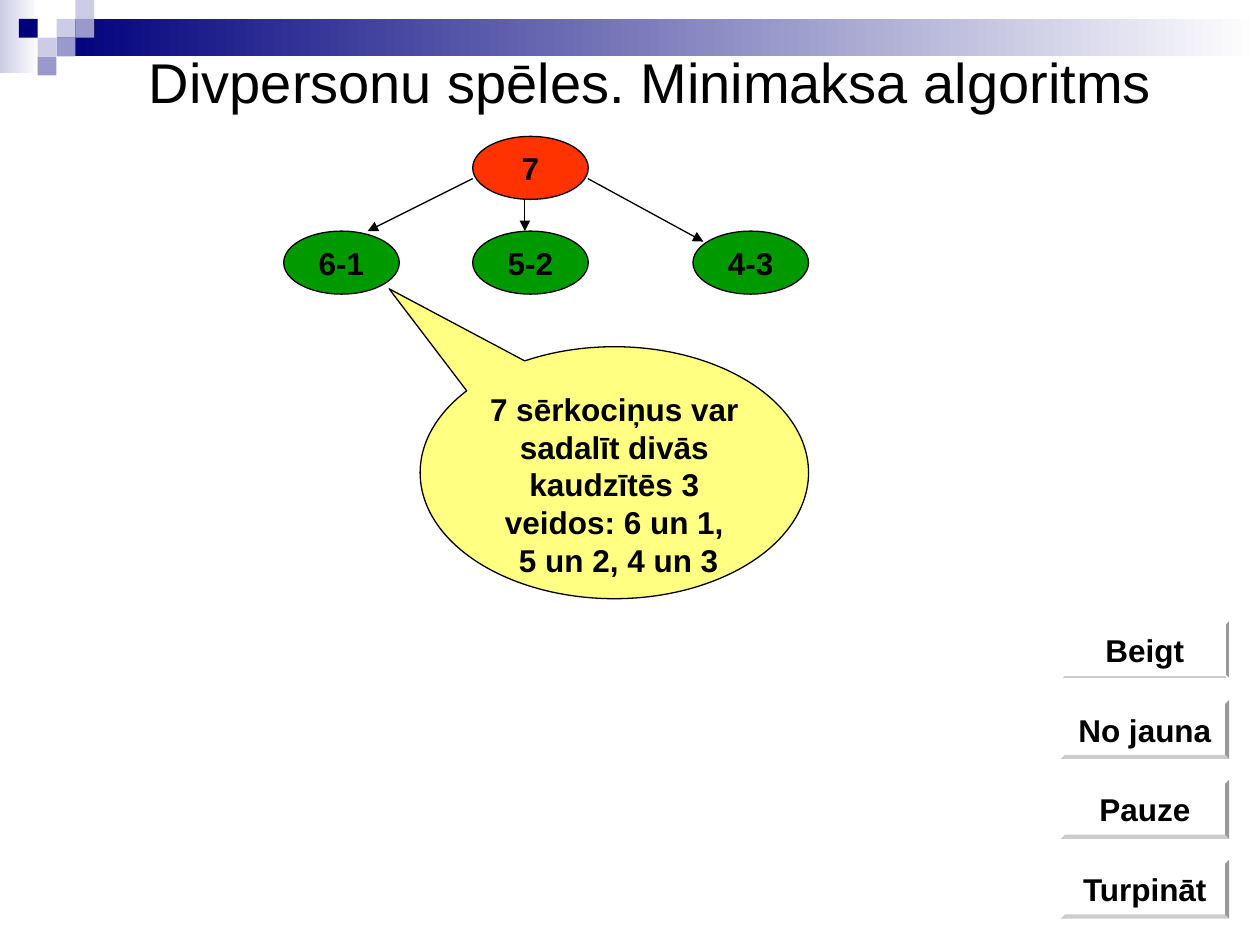
from lxml import etree
from pptx import Presentation
from pptx.dml.color import RGBColor
from pptx.enum.shapes import MSO_CONNECTOR, MSO_SHAPE
from pptx.enum.text import MSO_ANCHOR, PP_ALIGN
from pptx.oxml.ns import qn
from pptx.util import Cm, Pt

RECT, OVAL, BEVEL = MSO_SHAPE.RECTANGLE, MSO_SHAPE.OVAL, MSO_SHAPE.BEVEL
CALLOUT = MSO_SHAPE.OVAL_CALLOUT
STRAIGHT = MSO_CONNECTOR.STRAIGHT
TOP, MIDDLE = MSO_ANCHOR.TOP, MSO_ANCHOR.MIDDLE
CENTER = PP_ALIGN.CENTER

COLORS = {"black": "000000", "white": "FFFFFF", "navy": "00007D",
          "lilac": "9999CC", "pale": "CCCCE6", "red": "FF3300",
          "green": "009900", "yellow": "FFFF81"}

TITLE = "Divpersonu spēles. Minimaksa algoritms"
# Left, top, width, height in cm, and the colour that fades to white
BANDS = [(0, 0, 0.79, 1.47, "pale"), (1.14, 0.38, 24.26, 0.76, "navy")]
# Column, row, colour
SQUARE = 0.38
SQUARES = [(3, 1, "pale"), (4, 0, "pale"), (4, 1, "lilac"), (2, 2, "pale"),
           (1, 1, "navy"), (3, 2, "lilac"), (2, 3, "lilac")]

BUTTONS = ["Beigt", "No jauna", "Pauze", "Turpināt"]
BUTTON_LEFT, BUTTON_TOP, BUTTON_STEP = 21.38, 12.5, 1.61
BUTTON_W, BUTTON_H = 3.4, 1.19

# Text, left, top, colour
NODES = [("7", 9.53, 2.75, "red"), ("6-1", 5.72, 4.66, "green"),
         ("5-2", 9.53, 4.66, "green"), ("4-3", 13.97, 4.66, "green")]
NODE_W, NODE_H = 2.33, 1.27
ARROWS = [(9.53, 3.6, 7.41, 4.66), (10.58, 4.02, 10.58, 4.66),
          (11.85, 3.6, 14.18, 4.87)]
CALLOUT_TEXT = "7 sērkociņus var sadalīt divās kaudzītēs 3 veidos: 6 un 1,\n 5 un 2, 4 un 3"


def rgb(name):
    return RGBColor.from_string(COLORS[name])


def write(shape, text, size=18, bold=True, anchor=MIDDLE, wrap=False):
    tf = shape.text_frame
    tf.text = text
    tf.word_wrap = wrap
    tf.vertical_anchor = anchor
    for p in tf.paragraphs:
        p.alignment = CENTER
        p.space_before = Pt(0)
        for r in p.runs:
            r.font.name, r.font.size, r.font.bold = "Arial", Pt(size), bold
            r.font.color.rgb = rgb("black")


def add_shape(s, kind, left, top, width, height, color, line=None):
    sp = s.shapes.add_shape(kind, Cm(left), Cm(top), Cm(width), Cm(height))
    sp.shadow.inherit = False
    sp.fill.solid()
    sp.fill.fore_color.rgb = rgb(color)
    if line:
        sp.line.color.rgb = rgb(line)
        sp.line.width = Pt(0.75)
    else:
        sp.line.fill.background()
    return sp


def add_arrow(s, x1, y1, x2, y2):
    arrow = s.shapes.add_connector(STRAIGHT, Cm(x1), Cm(y1), Cm(x2), Cm(y2))
    arrow.line.color.rgb = rgb("black")
    arrow.line.width = Pt(0.75)
    sp_pr = arrow.element.spPr
    etree.SubElement(sp_pr.find(qn("a:ln")), qn("a:tailEnd"), type="triangle")
    etree.SubElement(sp_pr, qn("a:effectLst"))


def add_decoration(s):
    for *box, color in BANDS:
        fill = add_shape(s, RECT, *box, color).fill
        fill.gradient()
        fill.gradient_angle = 0
        for stop, name in zip(fill.gradient_stops, (color, "white")):
            stop.color.rgb = rgb(name)
    for col, row, color in SQUARES:
        add_shape(s, RECT, col * SQUARE, row * SQUARE, SQUARE, SQUARE, color)


def add_buttons(s):
    for i, label in enumerate(BUTTONS):
        sp = add_shape(s, BEVEL, BUTTON_LEFT, BUTTON_TOP + i * BUTTON_STEP,
                       BUTTON_W, BUTTON_H, "white", None if i else "white")
        sp.adjustments[0] = 0.07
        write(sp, label)


def add_tree(s):
    for label, left, top, color in NODES:
        write(add_shape(s, OVAL, left, top, NODE_W, NODE_H, color, "black"), label)
    callout = add_shape(s, CALLOUT, 8.47, 6.99, 7.83, 5.08, "yellow", "black")
    callout.adjustments[0], callout.adjustments[1] = -0.58, -0.73
    write(callout, CALLOUT_TEXT, anchor=TOP, wrap=True)
    for ends in ARROWS:
        add_arrow(s, *ends)


def main():
    prs = Presentation()
    prs.slide_width, prs.slide_height = Cm(25.4), Cm(19.05)
    s = prs.slides.add_slide(prs.slide_layouts[5])
    title = s.shapes.title
    title.left, title.top = Cm(1.47), Cm(0.84)
    title.width, title.height = Cm(23.29), Cm(1.63)
    write(title, TITLE, size=32, bold=False, anchor=TOP, wrap=True)
    add_decoration(s)
    add_buttons(s)
    add_tree(s)
    prs.save("out.pptx")


if __name__ == "__main__":
    main()
